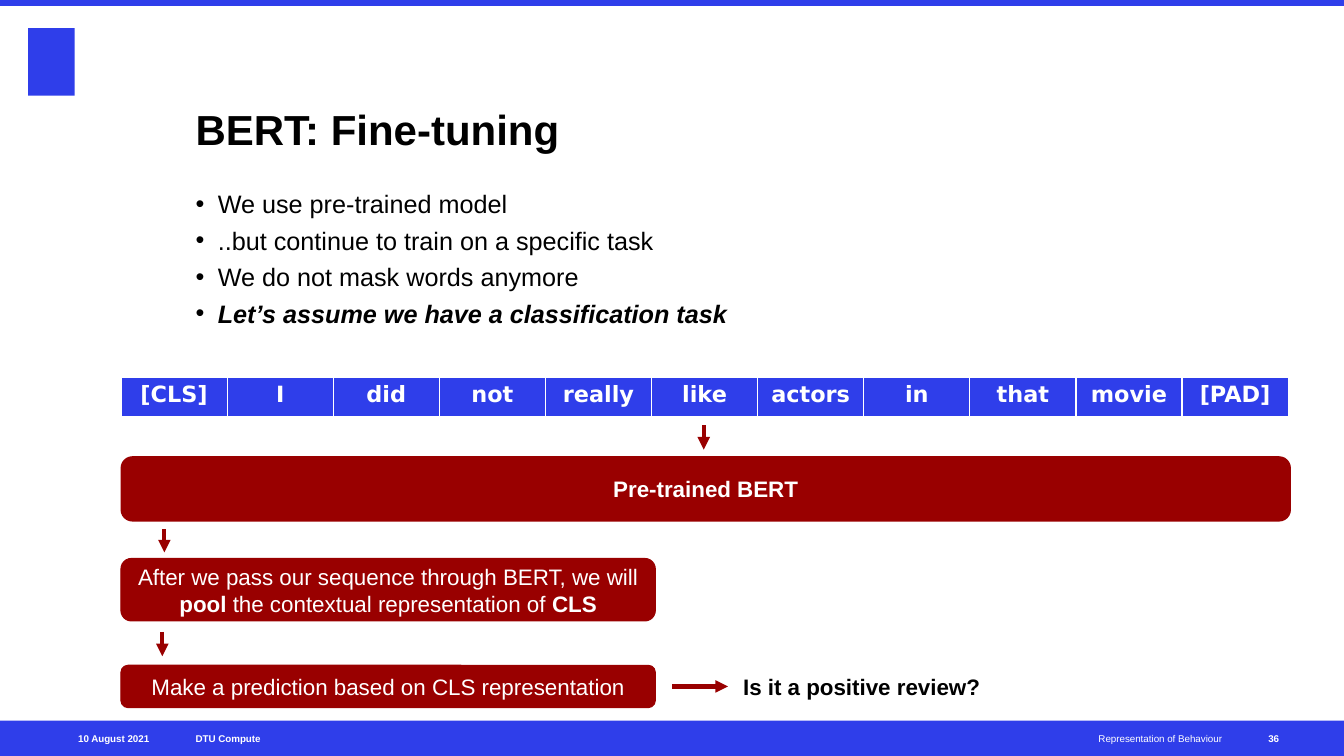
from lxml import etree
from pptx import Presentation
from pptx.dml.color import RGBColor
from pptx.enum.shapes import MSO_CONNECTOR, MSO_SHAPE
from pptx.enum.text import MSO_ANCHOR, MSO_AUTO_SIZE, PP_ALIGN
from pptx.oxml import parse_xml
from pptx.oxml.ns import nsdecls, qn
from pptx.util import Inches, Pt

BLUE = RGBColor(0x2F, 0x3E, 0xEA)
RED = RGBColor(0x99, 0x00, 0x00)
WHITE = RGBColor(0xFF, 0xFF, 0xFF)
BLACK = RGBColor(0x00, 0x00, 0x00)


def write(frame, spans, size, color, align=PP_ALIGN.LEFT, anchor=MSO_ANCHOR.TOP):
    """Fill the first paragraph with (text, bold) spans."""
    frame.vertical_anchor = anchor
    para = frame.paragraphs[0]
    para.alignment = align
    for text, bold in spans:
        span = para.add_run()
        span.text = text
        span.font.name = "Arial"
        span.font.size = Pt(size)
        span.font.bold = bold
        span.font.color.rgb = color


def add_text_box(left, top, width, height):
    box = page.shapes.add_textbox(Inches(left), Inches(top), Inches(width), Inches(height))
    frame = box.text_frame
    frame.word_wrap = True
    frame.margin_left = frame.margin_right = frame.margin_top = frame.margin_bottom = 0
    return frame


deck = Presentation()
deck.slide_width = Inches(13.33)
deck.slide_height = Inches(7.5)
page = deck.slides.add_slide(deck.slide_layouts[5])

# Header and footer bars, with a plain block in the logo's place
for left, top, width, height in [
    (0, 0, 13.33, 0.06),
    (0, 7.15, 13.33, 0.35),
    (0.28, 0.28, 0.46, 0.67),
]:
    block = page.shapes.add_shape(
        MSO_SHAPE.RECTANGLE, Inches(left), Inches(top), Inches(width), Inches(height))
    block.shadow.inherit = False
    block.fill.solid()
    block.fill.fore_color.rgb = BLUE
    block.line.fill.background()

for text, left, width, align, bold in [
    ("10 August 2021", 0.27, 1.21, PP_ALIGN.RIGHT, True),
    ("DTU Compute", 1.94, 3.72, PP_ALIGN.LEFT, True),
    ("Representation of Behaviour", 6.11, 6.01, PP_ALIGN.RIGHT, False),
    ("36", 12.58, 0.47, PP_ALIGN.LEFT, True),
]:
    footer = add_text_box(left, 7.15, width, 0.35)
    write(footer, [(text, bold)], 7, WHITE, align, MSO_ANCHOR.MIDDLE)

# Title
title = page.shapes.title
title.left, title.top = Inches(1.94), Inches(0.47)
title.width, title.height = Inches(10.18), Inches(1.06)
frame = title.text_frame
frame.auto_size = MSO_AUTO_SIZE.NONE
frame.margin_left = frame.margin_right = frame.margin_top = frame.margin_bottom = 0
write(frame, [("BERT: Fine-tuning", True)], 30, BLACK, anchor=MSO_ANCHOR.BOTTOM)

# Bullets
points = [
    "We use pre-trained model",
    "..but continue to train on a specific task",
    "We do not mask words anymore",
    "Let’s assume we have a classification task",
]
body = add_text_box(1.94, 1.87, 10.18, 1.5)
body.text = "\n".join(points)
for index, para in enumerate(body.paragraphs):
    if index:
        para.space_before = Pt(4.5)
    properties = para._p.get_or_add_pPr()
    properties.set("marL", str(Inches(0.22)))
    properties.set("indent", str(-Inches(0.22)))
    etree.SubElement(properties, qn("a:buFont")).set("typeface", "Arial")
    etree.SubElement(properties, qn("a:buChar")).set("char", "•")
    emphasis = index == len(points) - 1
    font = para.runs[0].font
    font.name = "Arial"
    font.size = Pt(18)
    font.bold = font.italic = emphasis
    font.color.rgb = BLACK

# Token row
tokens = ["[CLS]", "I", "did", "not", "really", "like", "actors", "in", "that", "movie", "[PAD]"]
table = page.shapes.add_table(
    1, len(tokens), Inches(1.2), Inches(3.74), Inches(11.58), Inches(0.41)).table
for index, token in enumerate(tokens):
    table.columns[index].width = Inches(11.58 / len(tokens))
    cell = table.cell(0, index)
    cell.text = token
    para = cell.text_frame.paragraphs[0]
    para.alignment = PP_ALIGN.CENTER
    font = para.runs[0].font
    font.name = "DejaVu Sans"
    font.size = Pt(16)
    font.bold = True
    font.color.rgb = WHITE
    cell_properties = cell._tc.get_or_add_tcPr()
    for side, width in [("lnL", 1), ("lnR", 1), ("lnT", 1), ("lnB", 3)]:
        cell_properties.append(parse_xml(
            f'<a:{side} {nsdecls("a")} w="{Pt(width)}"><a:solidFill>'
            f'<a:srgbClr val="{WHITE}"/></a:solidFill></a:{side}>'))
    cell.fill.solid()
    cell.fill.fore_color.rgb = BLUE

# Processing steps
for left, top, width, height, border, spans in [
    (1.21, 4.54, 11.58, 0.62, 2, [("Pre-trained BERT", True)]),
    (1.2, 5.54, 5.3, 0.62, 0.75, [
        ("After we pass our sequence through BERT, we will ", False),
        ("pool", True),
        (" the contextual representation of ", False),
        ("CLS", True),
    ]),
    (1.2, 6.6, 5.3, 0.42, 0.75, [("Make a prediction based on CLS representation", False)]),
]:
    step = page.shapes.add_shape(
        MSO_SHAPE.ROUNDED_RECTANGLE, Inches(left), Inches(top), Inches(width), Inches(height))
    step.shadow.inherit = False
    step.fill.solid()
    step.fill.fore_color.rgb = RED
    step.line.color.rgb = RED
    step.line.width = Pt(border)
    step.text_frame.word_wrap = True
    write(step.text_frame, spans, 16, WHITE, PP_ALIGN.CENTER, MSO_ANCHOR.MIDDLE)

# Arrows between the steps
for start_x, start_y, end_x, end_y in [
    (6.98, 4.22, 6.98, 4.46),
    (1.63, 5.25, 1.63, 5.48),
    (1.61, 6.27, 1.61, 6.51),
    (6.67, 6.81, 7.22, 6.81),
]:
    arrow = page.shapes.add_connector(
        MSO_CONNECTOR.STRAIGHT,
        Inches(start_x), Inches(start_y), Inches(end_x), Inches(end_y))
    arrow.line.color.rgb = RED
    arrow.line.width = Pt(3)
    etree.SubElement(arrow.line._get_or_add_ln(), qn("a:tailEnd")).set("type", "triangle")
    etree.SubElement(arrow._element.spPr, qn("a:effectLst"))

question = add_text_box(7.37, 6.68, 2.39, 0.27)
question.word_wrap = False
write(question, [("Is it a positive review?", True)], 16, BLACK)

deck.save("out.pptx")
